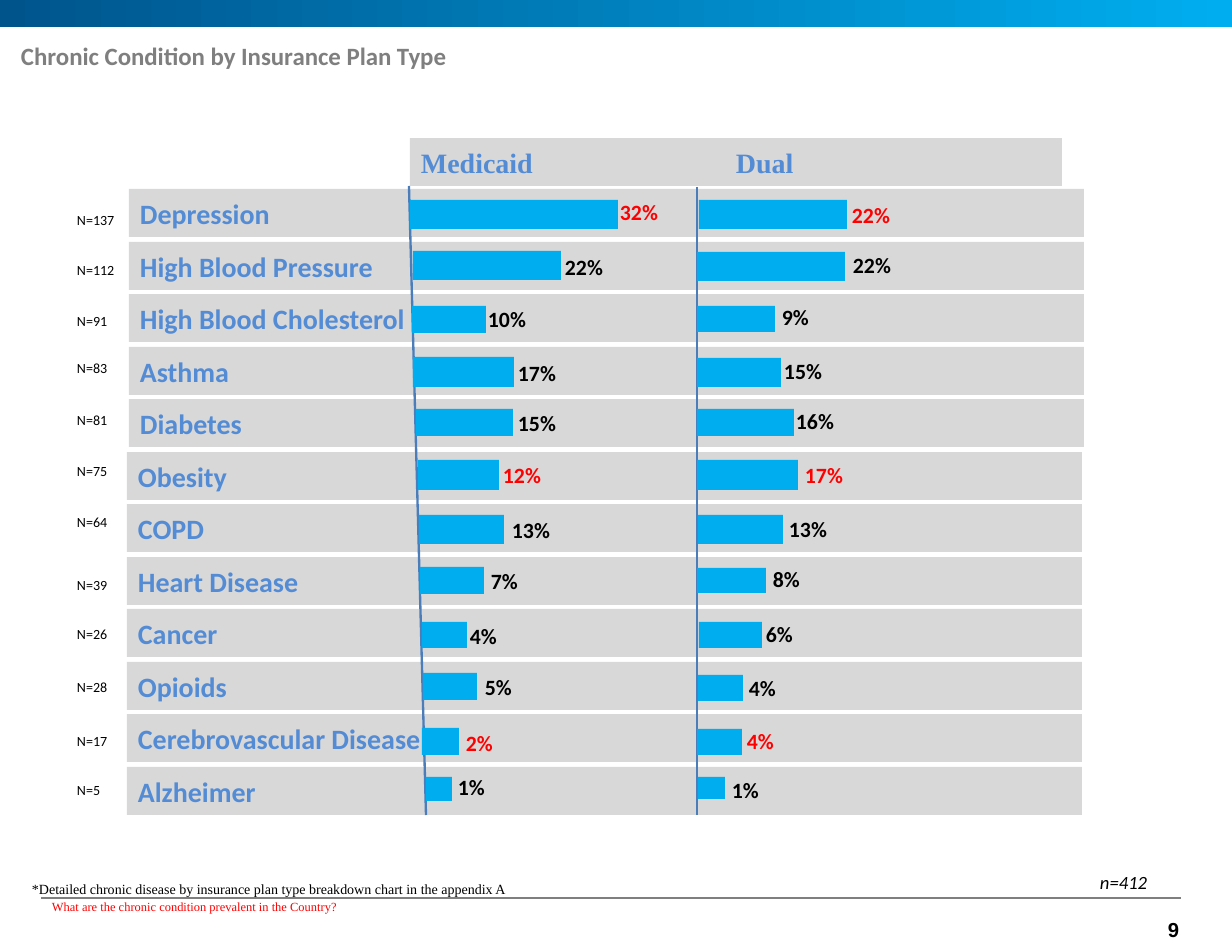
"""Build the slide on chronic conditions by insurance plan type."""
from dataclasses import dataclass
from typing import Any, NamedTuple

from lxml.etree import SubElement
from pptx import Presentation
from pptx.dml.color import RGBColor
from pptx.enum.shapes import MSO_CONNECTOR, MSO_SHAPE
from pptx.enum.text import MSO_ANCHOR, MSO_AUTO_SIZE, PP_ALIGN
from pptx.oxml.ns import qn
from pptx.util import Emu, Pt


@dataclass(frozen=True)
class Theme:
    title_grey: RGBColor = RGBColor(0x7F, 0x7F, 0x7F)
    band_grey: RGBColor = RGBColor(0xD8, 0xD8, 0xD8)
    heading_blue: RGBColor = RGBColor(0x53, 0x8C, 0xD5)
    bar_blue: RGBColor = RGBColor(0x00, 0xAE, 0xEF)
    deep_blue: RGBColor = RGBColor(0x00, 0x54, 0x8C)
    axis_blue: RGBColor = RGBColor(0x4A, 0x7D, 0xBA)
    black: RGBColor = RGBColor(0, 0, 0)
    red: RGBColor = RGBColor(0xFF, 0, 0)
    sans: str = "Calibri"
    serif: str = "Times New Roman"
    number_face: str = "Arial"
    heading_size: int = 18
    title_size: int = 16
    percent_size: int = 14
    page_size: int = 13
    total_size: int = 12
    note_size: int = 9
    question_size: int = 8


class Box(NamedTuple):
    left: int
    top: int
    width: int
    height: int


class Bar(NamedTuple):
    percent: int
    box: Box
    label_left: int
    label_top: int


class Condition(NamedTuple):
    name: str
    count: int
    count_top: int
    medicaid: Bar
    dual: Bar
    highlighted: bool = False


THEME = Theme()
EMU_PER_PX = 914400 / 112
SLIDE_WIDTH, SLIDE_HEIGHT = 1232, 952
INSET_X, INSET_Y = 11, 6
ROW_TOP, ROW_PITCH, ROW_WIDTH, ROW_HEIGHT = 189, 52.55, 955, 48
WIDE_ROWS = 5

CONDITIONS = [
    Condition("Depression", 137, 205, Bar(32, Box(410, 200, 208, 29), 609, 193),
              Bar(22, Box(699, 200, 148, 29), 841, 196), True),
    Condition("High Blood Pressure", 112, 255, Bar(22, Box(413, 251, 148, 29), 554, 248),
              Bar(22, Box(697, 252, 148, 29), 842, 246)),
    Condition("High Blood Cholesterol", 91, 306, Bar(10, Box(412, 306, 74, 27), 477, 300),
              Bar(9, Box(697, 306, 78, 26), 771, 298)),
    Condition("Asthma", 83, 353, Bar(17, Box(413, 357, 101, 30), 507, 354),
              Bar(15, Box(697, 358, 84, 29), 773, 352)),
    Condition("Diabetes", 81, 405, Bar(15, Box(416, 409, 97, 27), 507, 404),
              Bar(16, Box(697, 409, 97, 27), 785, 402)),
    Condition("Obesity", 75, 456, Bar(12, Box(418, 460, 81, 30), 492, 456),
              Bar(17, Box(697, 460, 101, 30), 794, 456), True),
    Condition("COPD", 64, 507, Bar(13, Box(419, 515, 85, 29), 501, 511),
              Bar(13, Box(698, 515, 85, 29), 778, 510)),
    Condition("Heart Disease", 39, 570, Bar(7, Box(420, 567, 64, 27), 480, 562),
              Bar(8, Box(697, 568, 69, 25), 762, 560)),
    Condition("Cancer", 26, 619, Bar(4, Box(422, 622, 45, 26), 459, 617),
              Bar(6, Box(699, 622, 63, 26), 755, 615)),
    Condition("Opioids", 28, 672, Bar(5, Box(423, 673, 54, 27), 474, 668),
              Bar(4, Box(698, 675, 45, 26), 738, 669)),
    Condition("Cerebrovascular Disease", 17, 726, Bar(2, Box(422, 728, 37, 27), 455, 724),
              Bar(4, Box(697, 729, 45, 26), 736, 722), True),
    Condition("Alzheimer", 5, 775, Bar(1, Box(426, 777, 26, 24), 447, 768),
              Bar(1, Box(698, 777, 27, 22), 721, 771)),
]


def px(length: float) -> Emu:
    """Turn a length in px into EMU."""
    return Emu(round(length * EMU_PER_PX))


def set_all(target: Any, values: dict[str, Any]) -> None:
    """Set each named attribute on the target."""
    for name, value in values.items():
        setattr(target, name, value)


def write(shape: Any, text: str, size: int, color: RGBColor, face: str = THEME.sans,
          anchor: MSO_ANCHOR = MSO_ANCHOR.TOP, inset: tuple[int, int] = (INSET_X, INSET_Y),
          tab: int = 0, **style: bool) -> None:
    """Write one formatted paragraph into the shape."""
    across, down = (px(side) for side in inset)
    set_all(shape.text_frame, {
        "text": text, "word_wrap": True, "auto_size": MSO_AUTO_SIZE.NONE,
        "vertical_anchor": anchor, "margin_left": across, "margin_right": across,
        "margin_top": down, "margin_bottom": down,
    })
    paragraph = shape.text_frame.paragraphs[0]
    paragraph.alignment = PP_ALIGN.LEFT
    if tab:
        tabs = SubElement(paragraph._p.get_or_add_pPr(), qn("a:tabLst"))
        SubElement(tabs, qn("a:tab"), pos=str(px(tab)), algn="l")
    set_all(paragraph.runs[0].font, {"size": Pt(size), "name": face, **style})
    paragraph.runs[0].font.color.rgb = color


def add_text(slide: Any, box: Box, text: str, size: int, color: RGBColor = THEME.black,
             face: str = THEME.sans, **style: bool) -> None:
    """Add a text box."""
    write(slide.shapes.add_textbox(*map(px, box)), text, size, color, face, **style)


def add_rectangle(slide: Any, box: Box, color: RGBColor) -> Any:
    """Add a plain filled rectangle."""
    rectangle = slide.shapes.add_shape(MSO_SHAPE.RECTANGLE, *map(px, box))
    rectangle.shadow.inherit = False
    rectangle.fill.solid()
    rectangle.fill.fore_color.rgb = color
    rectangle.line.fill.background()
    return rectangle


def add_band(slide: Any, box: Box, text: str, face: str = THEME.sans, tab: int = 0) -> None:
    """Add a grey band with its heading."""
    write(add_rectangle(slide, box, THEME.band_grey), text, THEME.heading_size,
          THEME.heading_blue, face, MSO_ANCHOR.MIDDLE, tab=tab, bold=True)


def add_line(slide: Any, start: tuple[int, int], end: tuple[int, int],
             color: RGBColor, width: float) -> None:
    """Add a straight line without shadow."""
    line = slide.shapes.add_connector(MSO_CONNECTOR.STRAIGHT, *map(px, start + end))
    set_all(line.line, {"width": Pt(width)})
    line.line.color.rgb = color
    SubElement(line._element.spPr, qn("a:effectLst"))


def add_bar(slide: Any, bar: Bar, color: RGBColor) -> None:
    """Add a bar and its percentage."""
    add_rectangle(slide, bar.box, THEME.bar_blue)
    add_text(slide, Box(bar.label_left, bar.label_top, 74, 38), f"{bar.percent}%",
             THEME.percent_size, color, bold=True)


def add_frame(slide: Any) -> None:
    """Add the top banner, title, footer and page number."""
    banner = add_rectangle(slide, Box(0, 0, SLIDE_WIDTH, 27), THEME.deep_blue)
    banner.fill.gradient()
    banner.fill.gradient_angle = 0
    for stop, color in zip(banner.fill.gradient_stops, (THEME.deep_blue, THEME.bar_blue)):
        stop.color.rgb = color
    add_line(slide, (41, 898), (1181, 898), THEME.title_grey, 1)
    add_text(slide, Box(1157, 911, 48, 36), "9", THEME.page_size, face=THEME.number_face, bold=True)
    title = slide.shapes.title
    set_all(title, dict(zip(Box._fields, map(px, Box(21, 44, 1182, 41)))))
    write(title, "Chronic Condition by Insurance Plan Type", THEME.title_size,
          THEME.title_grey, inset=(0, 0), bold=True)
    title.text_frame.paragraphs[0].line_spacing = 0.9
    add_text(slide, Box(41, 893, 1138, 27), "What are the chronic condition prevalent in the Country?",
             THEME.question_size, THEME.red, THEME.serif)
    add_text(slide, Box(1089, 865, 130, 34), "n=412", THEME.total_size, italic=True)
    add_text(slide, Box(21, 874, 505, 28),
             "*Detailed chronic disease by insurance plan type breakdown chart in the appendix A",
             THEME.note_size, face=THEME.serif)


def add_conditions(slide: Any) -> None:
    """Add the bands, axes, bars and counts of all conditions."""
    for index, condition in enumerate(CONDITIONS):
        left = 129 if index < WIDE_ROWS else 127
        top = round(ROW_TOP + ROW_PITCH * index)
        add_band(slide, Box(left, top, ROW_WIDTH, ROW_HEIGHT), condition.name)
    add_band(slide, Box(410, 138, 652, ROW_HEIGHT), "Medicaid\tDual", THEME.serif, tab=315)
    add_line(slide, (409, 186), (426, 815), THEME.axis_blue, 1.5)
    add_line(slide, (697, 187), (697, 815), THEME.axis_blue, 1.5)
    for condition in CONDITIONS:
        color = THEME.red if condition.highlighted else THEME.black
        add_bar(slide, condition.medicaid, color)
        add_bar(slide, condition.dual, color)
        add_text(slide, Box(66, condition.count_top, 63, 28), f"N={condition.count}", THEME.note_size)


def main() -> None:
    """Build and save the presentation."""
    presentation = Presentation()
    set_all(presentation, {"slide_width": px(SLIDE_WIDTH), "slide_height": px(SLIDE_HEIGHT)})
    slide = presentation.slides.add_slide(presentation.slide_layouts[5])
    add_frame(slide)
    add_conditions(slide)
    presentation.save("out.pptx")


if __name__ == "__main__":
    main()
